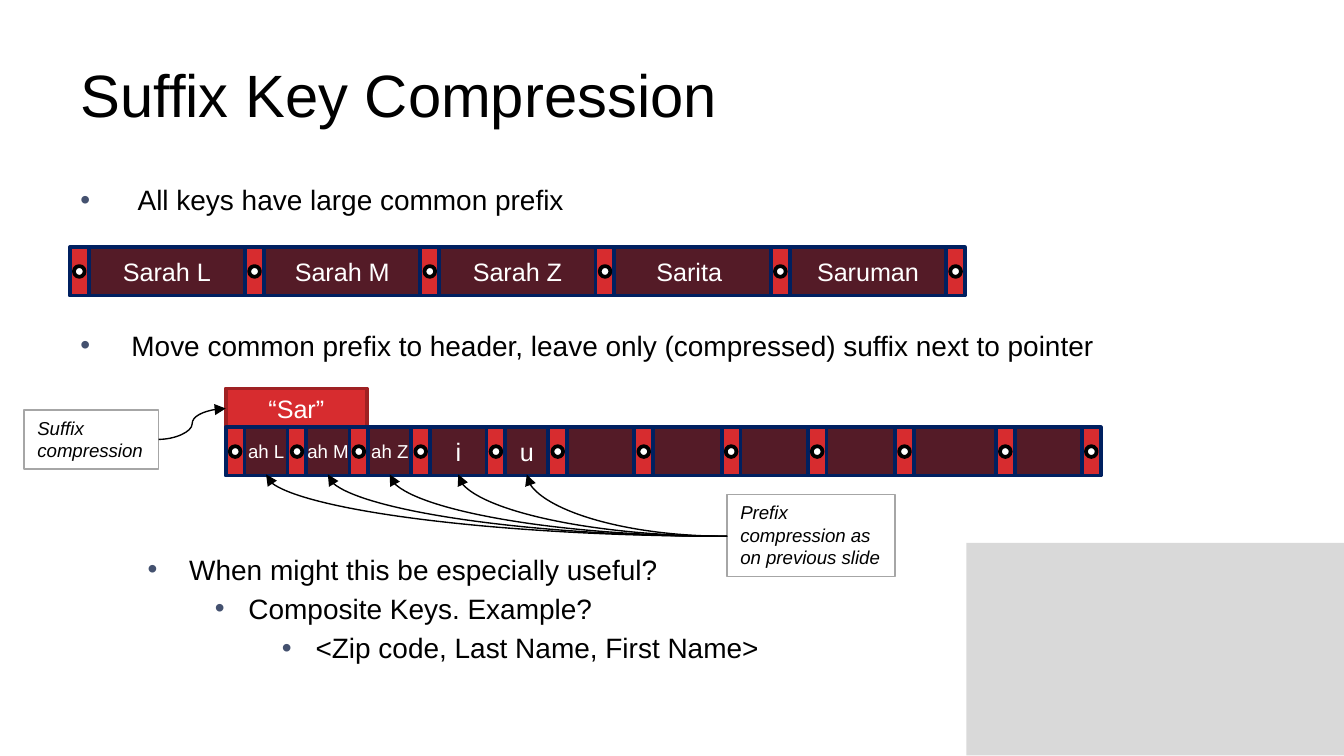
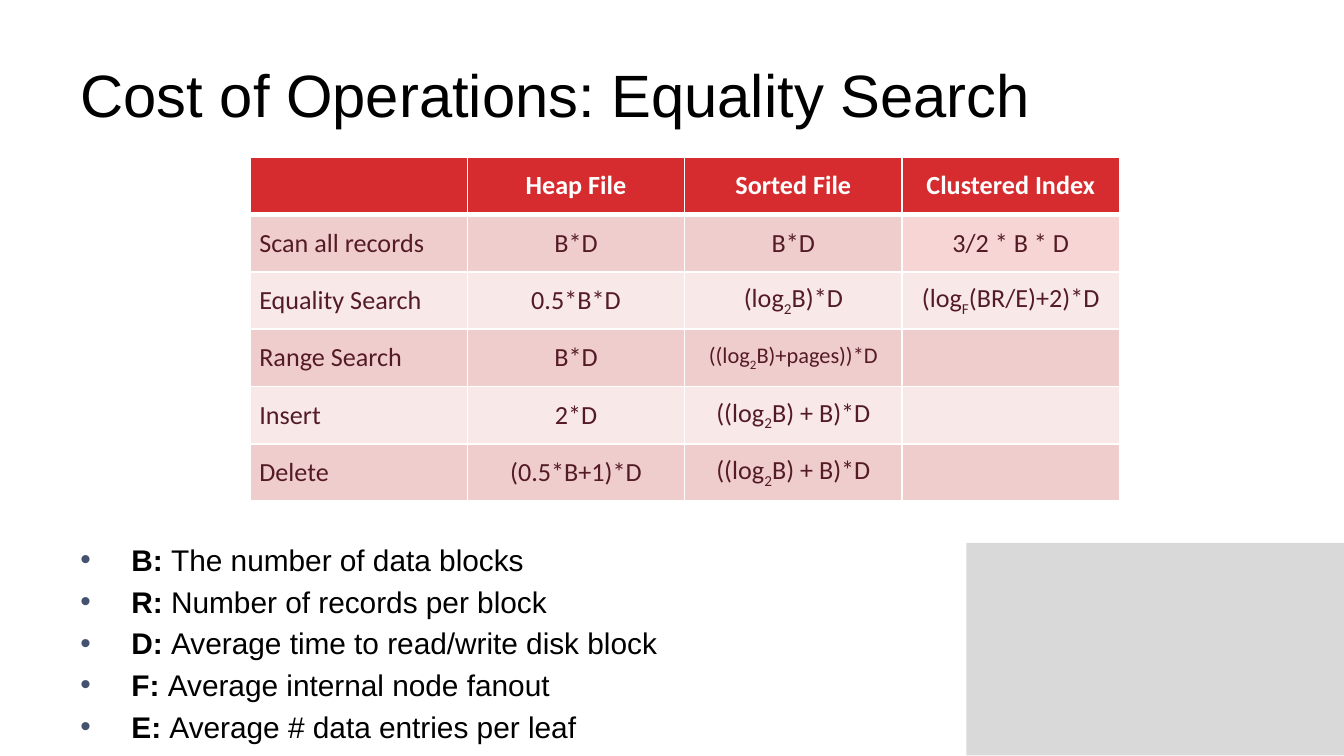
from dataclasses import dataclass

import pptx
import pptx.dml.color
import pptx.enum.shapes
import pptx.enum.text
import pptx.oxml
import pptx.oxml.ns
import pptx.util
from lxml import etree

Inches = pptx.util.Inches
Pt = pptx.util.Pt
SHAPE = pptx.enum.shapes.MSO_SHAPE
ALIGN = pptx.enum.text.PP_ALIGN
ANCHOR = pptx.enum.text.MSO_ANCHOR
qn = pptx.oxml.ns.qn


@dataclass(frozen=True)
class Theme:
    font: str = "Arial"
    table_font: str = "Calibri"
    black: str = "000000"
    white: str = "FFFFFF"
    panel: str = "D9D9D9"
    bullet: str = "44516F"
    red: str = "D72C2F"
    dark_red: str = "9F2123"
    maroon: str = "541B27"
    navy: str = "002060"
    callout: str = "A6A6A6"
    bands: tuple = ("F0CDCD", "F8E8E8")
    title_size: float = 32
    body_size: float = 15
    legend_size: float = 16
    key_size: float = 13.5
    small_size: float = 10
    cell_size: float = 14
    tight_cell_size: float = 12


T = Theme()
INDENTS = ((0.38, -0.38), (0.81, -0.31), (1.25, -0.25), (1.75, -0.25))
POINTER_W, NODE_H, DOT = 0.14, 0.36, 0.08
NAME_STOPS = [0.52 + i * 6.52 / 5 for i in range(6)]
SUFFIX_STOPS = [1.68, 2.14, 2.6, 3.06, 3.62, 4.08, 4.72, 5.37, 6.01, 6.66, 7.41, 8.05]
NAMES = ["Sarah L", "Sarah M", "Sarah Z", "Sarita ", "Saruman"]
SUFFIXES = ["ah L", "ah M", "ah Z", "i", "u"]
ARROW_TIPS = [2.44, 2.9, 3.41, 3.92, 1.98]

POINTS = [
    (0, 0, " All keys have large common prefix"),
    (0, 60, "Move common prefix to header, leave only (compressed) suffix next to pointer"),
    (1, 102, "When might this be especially useful?"),
    (2, 3, "Composite Keys. Example?"),
    (3, 3, "<Zip code, Last Name, First Name>"),
]
LEGEND = [
    ("B: ", "The number of data blocks"),
    ("R: ", "Number of records per block"),
    ("D: ", "Average time to read/write disk block"),
    ("F: ", "Average internal node fanout"),
    ("E: ", "Average # data entries per leaf"),
]
COSTS = [
    ("", "Heap File", "Sorted File", "Clustered Index"),
    ("Scan all records", "B*D", "B*D", "3/2 * B * D"),
    ("Equality Search", "0.5*B*D", "(log_2_B)*D", "(log_F_(BR/E)+2)*D"),
    ("Range Search", "B*D", "((log_2_B)+pages))*D", ""),
    ("Insert", "2*D", "((log_2_B) + B)*D", ""),
    ("Delete", "(0.5*B+1)*D", "((log_2_B) + B)*D", ""),
]
CELL_FILLS = {(1, 3): "F7D5D5", (2, 3): "F8E9E8"}
CELL_SIZES = {(3, 2): T.tight_cell_size}


def rgb(color):
    return pptx.dml.color.RGBColor.from_string(color)


def add_run(p, text, size, color=T.black, font=T.font, bold=False, italic=False):
    r = p.add_run()
    r.text = text
    r.font.name = font
    r.font.size = Pt(size)
    r.font.bold = bold
    r.font.italic = italic
    r.font.color.rgb = rgb(color)
    return r


def set_margins(target, left, top, right, bottom):
    target.margin_left, target.margin_top = Inches(left), Inches(top)
    target.margin_right, target.margin_bottom = Inches(right), Inches(bottom)


def add_box(shapes, kind, left, top, width, height, fill=None, line=None, weight=2):
    sp = shapes.add_shape(kind, Inches(left), Inches(top), Inches(width), Inches(height))
    sp.shadow.inherit = False
    if fill:
        sp.fill.solid()
        sp.fill.fore_color.rgb = rgb(fill)
    else:
        sp.fill.background()
    if line:
        sp.line.color.rgb = rgb(line)
        sp.line.width = Pt(weight)
    else:
        sp.line.fill.background()
    return sp


def add_label(sp, text, size):
    tf = sp.text_frame
    tf.word_wrap = False
    tf.vertical_anchor = ANCHOR.MIDDLE
    set_margins(tf, 0, 0.04, 0, 0.04)
    p = tf.paragraphs[0]
    p.alignment = ALIGN.CENTER
    add_run(p, text, size, T.white)


def add_slide(prs, title):
    s = prs.slides.add_slide(prs.slide_layouts[5])
    add_box(s.shapes, SHAPE.RECTANGLE, 7.19, 4.04, 2.81, 1.58, T.panel)
    sp = s.shapes.title
    sp.left, sp.top, sp.width, sp.height = Inches(0.5), Inches(0.23), Inches(9), Inches(0.94)
    tf = sp.text_frame
    tf.vertical_anchor = ANCHOR.MIDDLE
    p = tf.paragraphs[0]
    p.alignment = ALIGN.LEFT
    add_run(p, title, T.title_size)
    return s


def add_text_area(s, top, height):
    sp = s.shapes.add_textbox(Inches(0.5), Inches(top), Inches(9), Inches(height))
    sp.text_frame.word_wrap = True
    return sp.text_frame


def add_bullet(tf, index, level=0, before=0):
    p = tf.add_paragraph() if index else tf.paragraphs[0]
    p.level = level
    pPr = p._p.get_or_add_pPr()
    margin, hanging = INDENTS[level]
    pPr.set("marL", str(Inches(margin)))
    pPr.set("indent", str(Inches(hanging)))
    color = etree.SubElement(pPr, qn("a:buClr"))
    etree.SubElement(color, qn("a:srgbClr"), val=T.bullet)
    etree.SubElement(pPr, qn("a:buFont"), typeface=T.font)
    etree.SubElement(pPr, qn("a:buChar"), char="•")
    p.space_before = Pt(before)
    return p


def add_node(s, top, stops, labels):
    shapes = s.shapes.add_group_shape().shapes
    for i, (stop, following) in enumerate(zip(stops, stops[1:])):
        left = stop + POINTER_W
        key = add_box(shapes, SHAPE.RECTANGLE, left, top, following - left, NODE_H, T.maroon, T.navy)
        if i < len(labels):
            size = T.small_size if labels[i].startswith("ah") else T.key_size
            add_label(key, labels[i], size)
    for stop in stops:
        add_box(shapes, SHAPE.RECTANGLE, stop, top, POINTER_W, NODE_H, T.red, T.navy)
        add_box(shapes, SHAPE.OVAL, stop + (POINTER_W - DOT) / 2, top + (NODE_H - DOT) / 2,
                DOT, DOT, T.white, T.black)


def add_callout(s, left, top, width, height, text):
    sp = add_box(s.shapes, SHAPE.RECTANGLE, left, top, width, height, line=T.callout, weight=0.75)
    tf = sp.text_frame
    tf.word_wrap = True
    tf.vertical_anchor = ANCHOR.TOP
    set_margins(tf, 0.1, 0.05, 0.05, 0.05)
    p = tf.paragraphs[0]
    p.alignment = ALIGN.LEFT
    add_run(p, text, T.small_size, italic=True)


def add_curve(shapes, x1, y1, x2, y2):
    c = shapes.add_connector(pptx.enum.shapes.MSO_CONNECTOR.CURVE,
                             Inches(x1), Inches(y1), Inches(x2), Inches(y2))
    c.line.color.rgb = rgb(T.black)
    c.line.width = Pt(0.75)
    spPr = c._element.spPr
    etree.SubElement(spPr.find(qn("a:ln")), qn("a:tailEnd"), type="triangle")
    etree.SubElement(spPr, qn("a:effectLst"))
    return spPr


def add_quarter_curve(shapes, x1, y1, x2, y2):
    spPr = add_curve(shapes, x2, y2, x1, y1)
    spPr.find(qn("a:prstGeom")).set("prst", "curvedConnector2")
    spPr.find(qn("a:xfrm")).set("rot", "10800000")


def set_borders(cell, top, bottom):
    tcPr = cell._tc.get_or_add_tcPr()
    for side, weight in (("L", 1), ("R", 1), ("T", top), ("B", bottom)):
        ln = etree.SubElement(tcPr, qn(f"a:ln{side}"), w=str(Pt(weight)))
        fill = etree.SubElement(ln, qn("a:solidFill"))
        etree.SubElement(fill, qn("a:srgbClr"), val=T.white)


def fill_cell(cell, row, col, text):
    header = row == 0
    set_borders(cell, 3 if row == 1 else 1, 3 if header else 1)
    cell.fill.solid()
    band = T.red if header else T.bands[(row - 1) % 2]
    cell.fill.fore_color.rgb = rgb(CELL_FILLS.get((row, col), band))
    cell.vertical_anchor = ANCHOR.MIDDLE
    set_margins(cell, 0.07, 0.04, 0.07, 0.04)
    if not text:
        return
    p = cell.text_frame.paragraphs[0]
    p.alignment = ALIGN.CENTER if col else ALIGN.LEFT
    size = CELL_SIZES.get((row, col), T.cell_size)
    for i, part in enumerate(text.split("_")):
        r = add_run(p, part, size, T.white if header else T.maroon, T.table_font, bold=header)
        if i % 2:
            r.font._element.set("baseline", "-25000")


def add_cost_table(s):
    frame = s.shapes.add_table(len(COSTS), len(COSTS[0]),
                               Inches(1.86), Inches(1.17), Inches(6.47), Inches(2.56))
    for row, texts in enumerate(COSTS):
        for col, text in enumerate(texts):
            fill_cell(frame.table.cell(row, col), row, col, text)


def build_compression(prs):
    s = add_slide(prs, "Suffix Key Compression")
    tf = add_text_area(s, 1.31, 3.71)
    for i, (level, before, text) in enumerate(POINTS):
        add_run(add_bullet(tf, i, level, before), text, T.body_size)
    header = add_box(s.shapes, SHAPE.RECTANGLE, 1.68, 2.89, 1.05, 0.29, T.red, T.dark_red)
    add_label(header, "“Sar”", T.key_size)
    add_node(s, 3.18, SUFFIX_STOPS, SUFFIXES)
    add_node(s, 1.84, NAME_STOPS, NAMES)
    add_callout(s, 0.18, 3.05, 1, 0.44, "Suffix compression")
    add_curve(s.shapes, 1.18, 3.27, 1.68, 3.04)
    add_callout(s, 5.41, 3.68, 1.25, 0.61, "Prefix compression as on previous slide")
    arrows = s.shapes.add_group_shape().shapes
    for tip in ARROW_TIPS:
        add_quarter_curve(arrows, 5.41, 3.99, tip, 3.53)


def build_costs(prs):
    s = add_slide(prs, "Cost of Operations: Equality Search")
    add_cost_table(s)
    tf = add_text_area(s, 3.98, 1.64)
    for i, (symbol, meaning) in enumerate(LEGEND):
        p = add_bullet(tf, i, before=3.2 if i else 0)
        add_run(p, symbol, T.legend_size, bold=True)
        add_run(p, meaning, T.legend_size)


def main():
    prs = pptx.Presentation()
    prs.slide_width = Inches(10)
    prs.slide_height = prs.slide_width * 9 // 16
    build_compression(prs)
    build_costs(prs)
    prs.save("out.pptx")


if __name__ == "__main__":
    main()
